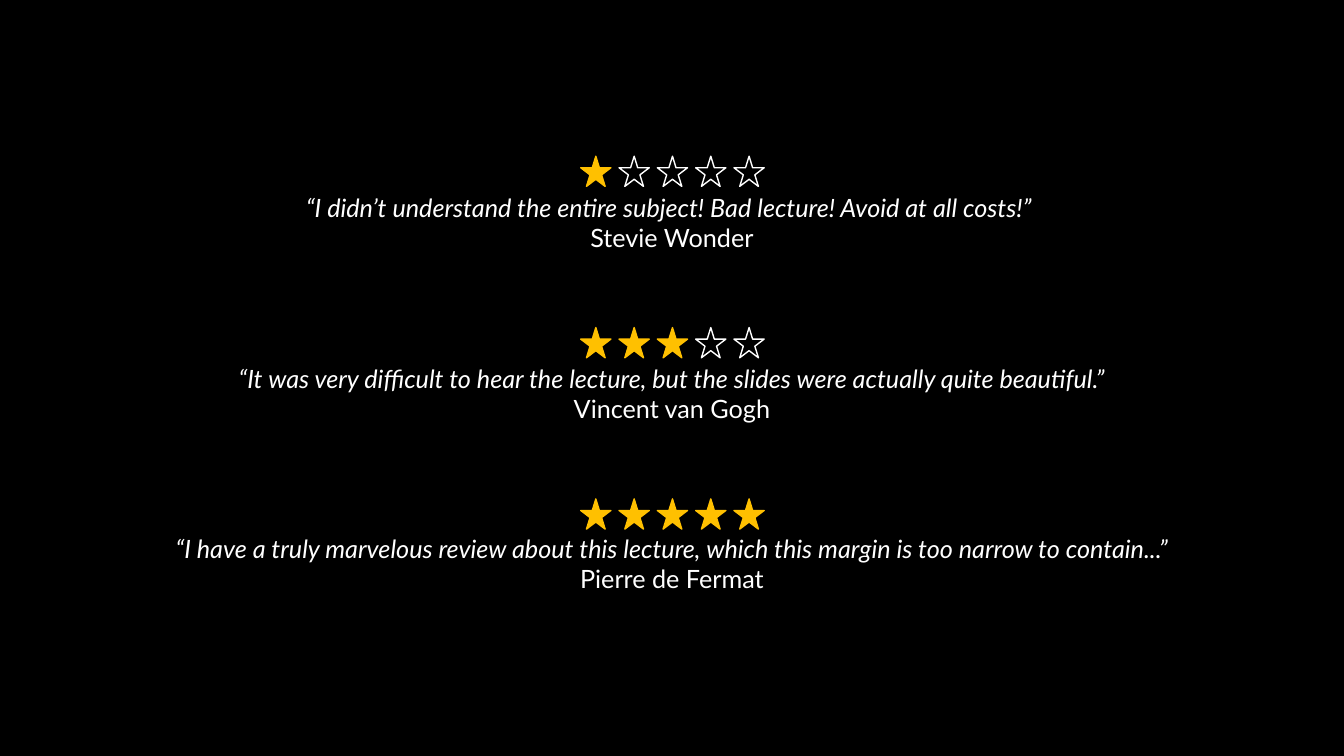
from dataclasses import dataclass

from pptx import Presentation
from pptx.dml.color import RGBColor
from pptx.enum.shapes import MSO_SHAPE
from pptx.enum.text import PP_ALIGN
from pptx.shapes.group import GroupShape
from pptx.slide import Slide
from pptx.util import Inches, Pt

STAR = MSO_SHAPE.STAR_5_POINT
CENTER = PP_ALIGN.CENTER

COLORS = {"background": "000000", "text": "FFFFFF", "gold": "FFC000"}
FONT = "Lato"
SLIDE_WIDTH, SLIDE_HEIGHT = 13.33, 7.5
STAR_COUNT = 5
STAR_SIZE, STAR_LEFT, STAR_PITCH = 0.3, 5.76, 0.38
STARS_TOP, STARS_ROW_PITCH = 1.55, 1.7
TEXT_TOP, TEXT_ROW_PITCH, TEXT_HEIGHT = 1.86, 1.69, 0.71


@dataclass(frozen=True)
class Review:
    rating: int
    quote: str
    author: str


REVIEWS = [
    Review(1, "“I didn’t understand the entire subject! Bad lecture! Avoid at all costs!” ",
           "Stevie Wonder"),
    Review(3, "“It was very difficult to hear the lecture, but the slides were actually "
              "quite beautiful.”", "Vincent van Gogh"),
    Review(5, "“I have a truly marvelous review about this lecture, which this margin "
              "is too narrow to contain...”", "Pierre de Fermat"),
]


def color(name: str) -> RGBColor:
    return RGBColor.from_string(COLORS[name])


def add_star(group: GroupShape, left: float, top: float, filled: bool) -> None:
    star = group.shapes.add_shape(STAR, Inches(left), Inches(top),
                                  Inches(STAR_SIZE), Inches(STAR_SIZE))
    star.shadow.inherit = False
    star.line.width = Pt(1)
    star.line.color.rgb = color("gold" if filled else "text")
    if filled:
        star.fill.solid()
        star.fill.fore_color.rgb = color("gold")
    else:
        star.fill.background()


def add_review(page: Slide, row: int, review: Review) -> None:
    group = page.shapes.add_group_shape()

    # Quote and author
    box = group.shapes.add_textbox(0, Inches(TEXT_TOP + row * TEXT_ROW_PITCH),
                                   Inches(SLIDE_WIDTH), Inches(TEXT_HEIGHT))
    frame = box.text_frame
    frame.word_wrap = True
    frame.text = f"{review.quote}\n{review.author}"
    for para, italic in zip(frame.paragraphs, (True, False)):
        para.alignment = CENTER
        for span in para.runs:
            span.font.name = FONT
            span.font.size = Pt(18)
            span.font.italic = italic
            span.font.color.rgb = color("text")

    # Star rating
    for index in range(STAR_COUNT):
        add_star(group, STAR_LEFT + index * STAR_PITCH,
                 STARS_TOP + row * STARS_ROW_PITCH, index < review.rating)


def main() -> None:
    deck = Presentation()
    deck.slide_width = Inches(SLIDE_WIDTH)
    deck.slide_height = Inches(SLIDE_HEIGHT)
    page = deck.slides.add_slide(deck.slide_layouts[6])
    page.background.fill.solid()
    page.background.fill.fore_color.rgb = color("background")

    for row, review in enumerate(REVIEWS):
        add_review(page, row, review)
    deck.save("out.pptx")


if __name__ == "__main__":
    main()
